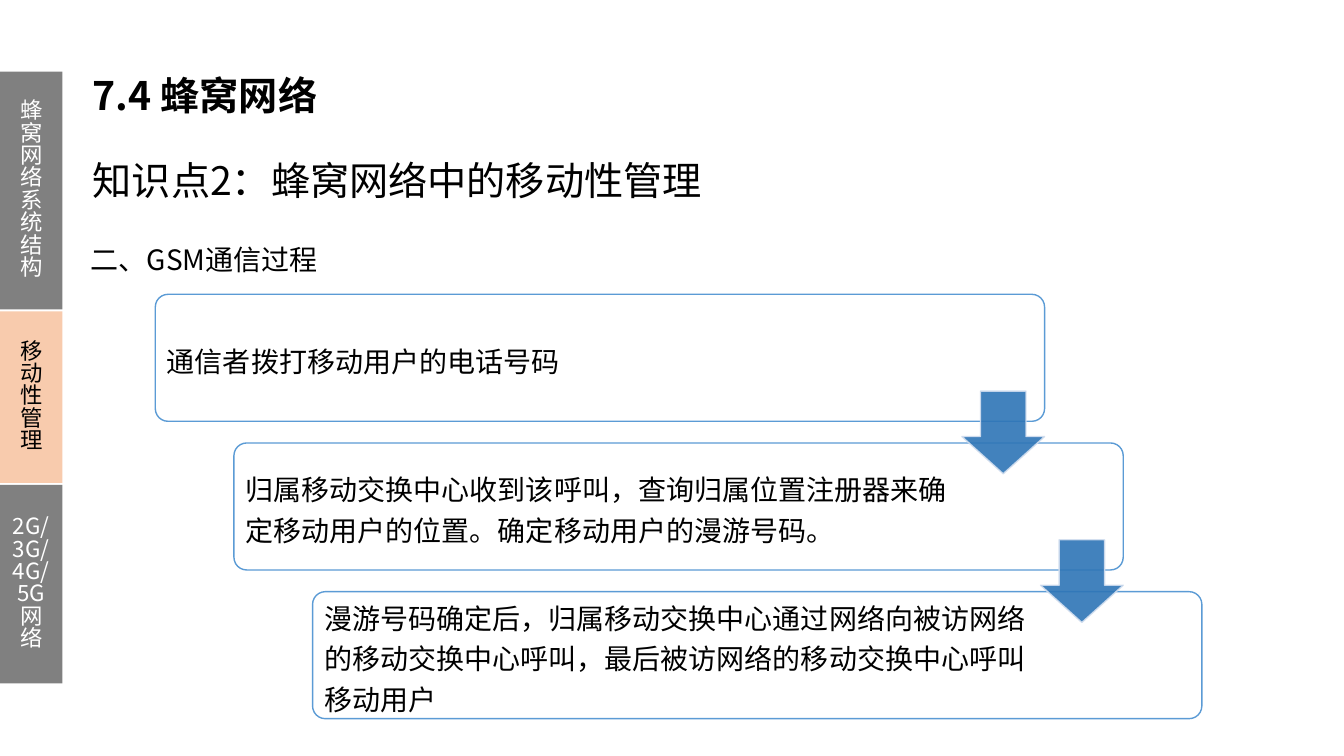
from lxml.etree import SubElement
from pptx import Presentation
from pptx.dml.color import RGBColor
from pptx.enum.shapes import MSO_SHAPE
from pptx.enum.text import MSO_ANCHOR, PP_ALIGN
from pptx.oxml.ns import qn
from pptx.util import Inches, Pt

FONT = "Noto Sans CJK SC"
WIDTH, HEIGHT = 13.33, 7.5

HEADINGS = [
    {"text": "7.4 蜂窝网络", "place": (0.8, 0.65, 9.65, 0.59), "size": 28,
     "bold": True, "spacing": 1.0, "anchor": MSO_ANCHOR.TOP, "insets": (0.12, 0.06)},
    {"text": "知识点2：蜂窝网络中的移动性管理", "place": (0.8, 1.15, 12.16, 1.04), "size": 28,
     "bold": False, "spacing": 1.5, "anchor": MSO_ANCHOR.MIDDLE, "insets": (0.12, 0.06)},
    {"text": "二、GSM通信过程", "place": (0.8, 2.19, 12.39, 0.55), "size": 20,
     "bold": False, "spacing": 1.5, "anchor": MSO_ANCHOR.TOP, "insets": (0.1, 0.05)},
]
STEPS = [
    ("通信者拨打移动用户的电话号码", 7.45),
    ("归属移动交换中心收到该呼叫，查询归属位置注册器来确定移动用户的位置。确定移动用户的漫游号码。", 7.14),
    ("漫游号码确定后，归属移动交换中心通过网络向被访网络的移动交换中心呼叫，最后被访网络的移动交换中心呼叫移动用户", 7.14),
]
TABS = [
    ("蜂窝网络系统结构", 2.36, "808080", "FFFFFF"),
    ("移动性管理", 1.7, "F8CBAD", "000000"),
    ("2G/3G/4G/5G网络", 1.97, "808080", "FFFFFF"),
]

STEP_LEFT, STEP_TOP, STEP_WIDTH, STEP_HEIGHT = 1.54, 2.92, 8.82, 1.26
SHIFT_RIGHT, SHIFT_DOWN = 0.78, 1.475
STEP_PADDING = 0.035
ARROW_SIZE, ARROW_DROP = 0.82, 0.96
TAB_TOP, TAB_WIDTH, TAB_GAP = 0.71, 0.62, 0.02


def color(value):
    return RGBColor.from_string(value)


def write(shape, text, size, ink="000000", bold=False, spacing=1.0,
          anchor=MSO_ANCHOR.MIDDLE, align=PP_ALIGN.LEFT, insets=(0.1, 0.05)):
    frame = shape.text_frame
    frame.word_wrap = True
    frame.vertical_anchor = anchor
    frame.margin_left = frame.margin_right = Inches(insets[0])
    frame.margin_top = frame.margin_bottom = Inches(insets[1])
    para = frame.paragraphs[0]
    para.alignment = align
    para.line_spacing = spacing
    span = para.add_run()
    span.text = text
    span.font.size = Pt(size)
    span.font.bold = bold
    span.font.color.rgb = color(ink)
    span.font.name = FONT
    SubElement(span.font._element, qn("a:ea"), typeface=FONT)


def add_text(page, place, text, size, **style):
    box = page.shapes.add_textbox(*map(Inches, place))
    write(box, text, size, **style)


def add_block(page, kind, place, fill, line=None, adjustments=()):
    shape = page.shapes.add_shape(kind, *map(Inches, place))
    shape.shadow.inherit = False
    for index, value in enumerate(adjustments):
        shape.adjustments[index] = value
    shape.fill.solid()
    shape.fill.fore_color.rgb = color(fill)
    if line:
        shape.line.color.rgb = color(line)
        shape.line.width = Pt(1)
    else:
        shape.line.fill.background()
    return shape


def set_opacity(shape, percent):
    for tone in shape._element.spPr.iter(qn("a:srgbClr")):
        SubElement(tone, qn("a:alpha"), val=str(percent * 1000))


def add_steps(page):
    for index, (text, text_width) in enumerate(STEPS):
        left = STEP_LEFT + index * SHIFT_RIGHT
        top = STEP_TOP + index * SHIFT_DOWN
        add_block(page, MSO_SHAPE.ROUNDED_RECTANGLE, (left, top, STEP_WIDTH, STEP_HEIGHT),
                  "FFFFFF", "5B9BD5", (0.1,))
        add_text(page, (left + STEP_PADDING, top + STEP_PADDING, text_width,
                        STEP_HEIGHT - 2 * STEP_PADDING),
                 text, 20, spacing=Pt(28.8), insets=(0.08, 0.08))
    for index in range(len(STEPS) - 1):
        right = STEP_LEFT + STEP_WIDTH + index * SHIFT_RIGHT
        top = STEP_TOP + ARROW_DROP + index * SHIFT_DOWN
        arrow = add_block(page, MSO_SHAPE.DOWN_ARROW,
                          (right - ARROW_SIZE, top, ARROW_SIZE, ARROW_SIZE),
                          "2E75B6", "D2DEEF", (0.55, 0.45))
        set_opacity(arrow, 90)


def add_tabs(page):
    top = TAB_TOP
    for text, height, fill, ink in TABS:
        tab = add_block(page, MSO_SHAPE.RECTANGLE, (0, top, TAB_WIDTH, height), fill)
        write(tab, text, 16, ink=ink, spacing=Pt(16), align=PP_ALIGN.CENTER)
        top += height + TAB_GAP


def main():
    deck = Presentation()
    deck.slide_width, deck.slide_height = Inches(WIDTH), Inches(HEIGHT)
    page = deck.slides.add_slide(deck.slide_layouts[6])
    for heading in HEADINGS:
        add_text(page, **heading)
    add_steps(page)
    add_tabs(page)
    deck.save("out.pptx")


if __name__ == "__main__":
    main()
